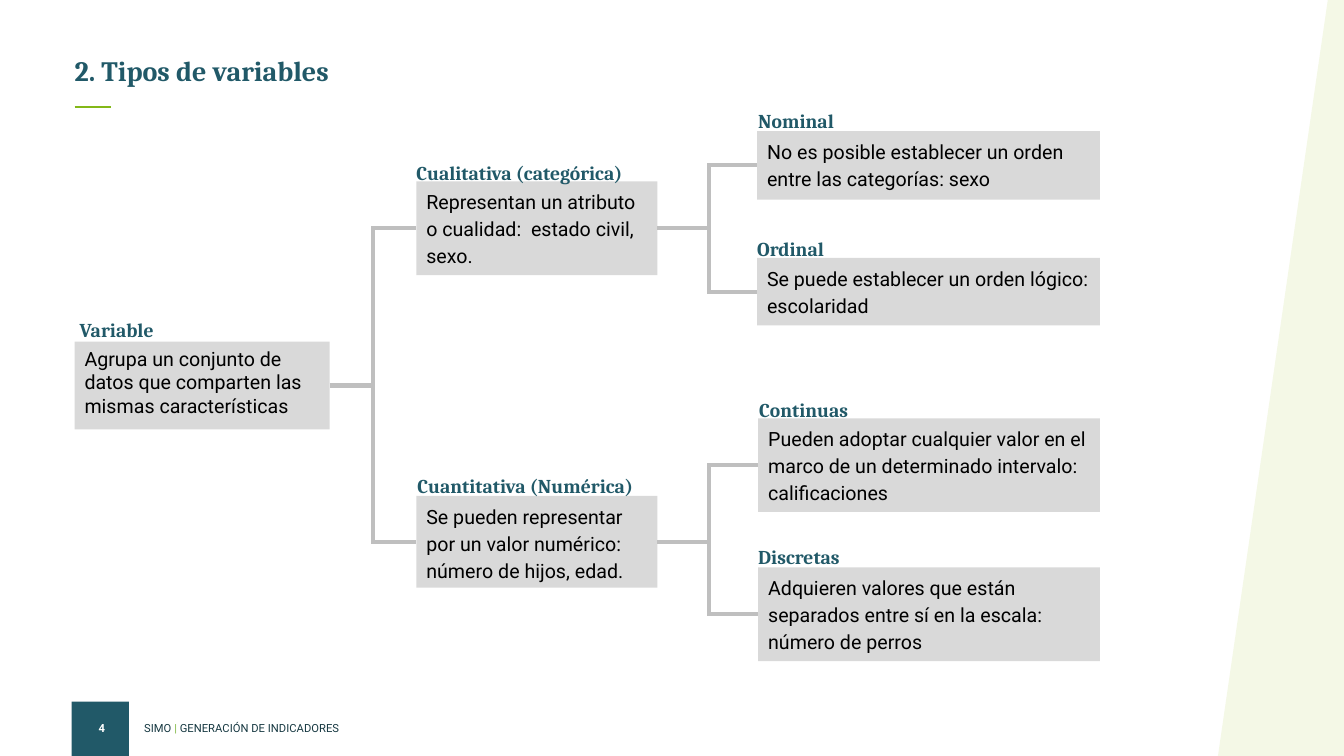
"""Build the slide that classifies the types of statistical variables as a tree."""
import pptx
import pptx.dml.color
import pptx.enum.shapes
import pptx.enum.text
import pptx.oxml
import pptx.util
from pptx.util import Inches

RGBColor = pptx.dml.color.RGBColor
MSO_SHAPE = pptx.enum.shapes.MSO_SHAPE
PP_ALIGN = pptx.enum.text.PP_ALIGN
MSO_ANCHOR = pptx.enum.text.MSO_ANCHOR
MSO_AUTO_SIZE = pptx.enum.text.MSO_AUTO_SIZE

TEAL = RGBColor(0x21, 0x59, 0x68)
DARK_TEAL = RGBColor(0x16, 0x38, 0x41)
GREEN = RGBColor(0x83, 0xB8, 0x18)
SEPARATOR_GREEN = RGBColor(0x7F, 0xB7, 0x40)
PALE_GREEN = RGBColor(0xF4, 0xF8, 0xE6)
BOX_GRAY = RGBColor(0xD9, 0xD9, 0xD9)
LINE_GRAY = RGBColor(0xBF, 0xBF, 0xBF)
BLACK = RGBColor(0x00, 0x00, 0x00)
WHITE = RGBColor(0xFF, 0xFF, 0xFF)

presentation = pptx.Presentation()
presentation.slide_width = Inches(13.33)
presentation.slide_height = Inches(7.5)
slide = presentation.slides.add_slide(presentation.slide_layouts[5])
shapes = slide.shapes


def write(shape, runs, font, size, bold=False, align=PP_ALIGN.LEFT, spacing=1.0,
          insets=(0, 0.05, 0, 0), anchor=MSO_ANCHOR.TOP, wrap=True,
          fit=MSO_AUTO_SIZE.SHAPE_TO_FIT_TEXT):
    frame = shape.text_frame
    frame.word_wrap = wrap
    frame.auto_size = fit
    frame.vertical_anchor = anchor
    frame.margin_left, frame.margin_top, frame.margin_right, frame.margin_bottom = map(Inches, insets)
    paragraph = frame.paragraphs[0]
    paragraph.alignment = align
    paragraph.line_spacing = spacing
    for text, color in runs:
        run = paragraph.add_run()
        run.text = text
        run.font.name = font
        run.font.size = pptx.util.Pt(size)
        run.font.bold = bold
        run.font.color.rgb = color


def add_line(x1, y1, x2, y2, color=LINE_GRAY, width=3):
    line = shapes.add_connector(pptx.enum.shapes.MSO_CONNECTOR.STRAIGHT,
                                Inches(x1), Inches(y1), Inches(x2), Inches(y2))
    line.line.color.rgb = color
    line.line.width = pptx.util.Pt(width)
    line._element.spPr.append(pptx.oxml.parse_xml(
        '<a:effectLst xmlns:a="http://schemas.openxmlformats.org/drawingml/2006/main"/>'))
    return line


decorations = [
    (MSO_SHAPE.RECTANGLE, 0.71, 6.96, 0.57, 0.54, TEAL),
    (MSO_SHAPE.PARALLELOGRAM, 12.08, 0, 2.89, 7.5, PALE_GREEN),
]
for preset, left, top, width, height, color in decorations:
    decoration = shapes.add_shape(preset, Inches(left), Inches(top), Inches(width), Inches(height))
    decoration.shadow.inherit = False
    decoration.fill.solid()
    decoration.fill.fore_color.rgb = color
    decoration.line.fill.background()
    if preset == MSO_SHAPE.PARALLELOGRAM:
        decoration.adjustments[0] = 0.377

page_number = shapes.add_textbox(Inches(0.89), Inches(7.11), Inches(0.24), Inches(0.19))
write(page_number, [("4", WHITE)], "Roboto", 8, bold=True, align=PP_ALIGN.CENTER, wrap=False)

footer = shapes.add_textbox(Inches(1.43), Inches(7.11), Inches(2.09), Inches(0.19))
write(footer, [("SIMO ", DARK_TEAL), ("|", SEPARATOR_GREEN),
               (" GENERACIÓN DE INDICADORES", DARK_TEAL)], "Roboto", 8, wrap=False)

title = shapes.title
title.left, title.top, title.width, title.height = map(Inches, (0.74, 0.52, 3.4, 0.35))
write(title, [("2. Tipos de variables", TEAL)], "Cambria", 20, bold=True, spacing=0.9,
      anchor=MSO_ANCHOR.BOTTOM)
add_line(0.74, 1.06, 1.1, 1.06, GREEN, 1.5)

nodes = [
    ("Variable", "Agrupa un conjunto de datos que comparten las mismas características",
     0.74, 3.39, 2.53, 0.87, 0.79, 3.15, 1.53),
    ("Cualitativa (categórica)", "Representan un atributo o cualidad:  estado civil, sexo.",
     4.13, 1.8, 2.39, 0.93, 4.13, 1.56, 2.37),
    ("Cuantitativa (Numérica)", "Se pueden representar por un valor numérico: número de hijos, edad.",
     4.13, 4.92, 2.39, 0.91, 4.14, 4.67, 2.51),
    ("Nominal", "No es posible establecer un orden entre las categorías: sexo",
     7.51, 1.3, 3.4, 0.68, 7.52, 1.05, 1.71),
    ("Ordinal", "Se puede establecer un orden lógico: escolaridad",
     7.51, 2.56, 3.4, 0.67, 7.51, 2.32, 1.71),
    ("Continuas", "Pueden adoptar cualquier valor en el marco de un determinado intervalo: calificaciones",
     7.52, 4.15, 3.39, 0.93, 7.53, 3.91, 1.71),
    ("Discretas", "Adquieren valores que están separados entre sí en la escala: número de perros",
     7.52, 5.63, 3.39, 0.93, 7.52, 5.37, 1.71),
]
boxes = {}
for name, definition, left, top, width, height, label_left, label_top, label_width in nodes:
    is_root = name == "Variable"
    spacing = 1.0 if is_root else 1.15
    box = shapes.add_shape(MSO_SHAPE.RECTANGLE, Inches(left), Inches(top), Inches(width), Inches(height))
    box.shadow.inherit = False
    box.fill.solid()
    box.fill.fore_color.rgb = BOX_GRAY
    box.line.fill.background()
    write(box, [(definition, BLACK)], "Roboto", 14, spacing=spacing,
          insets=(0.1, 0.05, 0.1, 0.05), fit=MSO_AUTO_SIZE.NONE)
    label = shapes.add_textbox(Inches(label_left), Inches(label_top), Inches(label_width), Inches(0.25))
    write(label, [(name, TEAL)], "Cambria", 14, bold=True, spacing=spacing, insets=(0, 0, 0, 0),
          align=PP_ALIGN.LEFT if is_root else PP_ALIGN.JUSTIFY)
    boxes[name] = (box, left, left + width, top + height / 2)

branches = [
    ("Variable", 3.7, ("Cualitativa (categórica)", "Cuantitativa (Numérica)")),
    ("Cualitativa (categórica)", 7.03, ("Nominal", "Ordinal")),
    ("Cuantitativa (Numérica)", 7.03, ("Continuas", "Discretas")),
]
for parent, trunk_x, children in branches:
    parent_box, _, parent_right, parent_y = boxes[parent]
    stem = add_line(parent_right, parent_y, trunk_x, parent_y)
    stem.begin_connect(parent_box, 3)
    child_ys = [boxes[child][3] for child in children]
    add_line(trunk_x, child_ys[0] - 0.02, trunk_x, child_ys[1] + 0.02)
    for child in children:
        child_box, child_left, _, child_y = boxes[child]
        twig = add_line(trunk_x, child_y, child_left, child_y)
        twig.end_connect(child_box, 1)

presentation.save("out.pptx")
